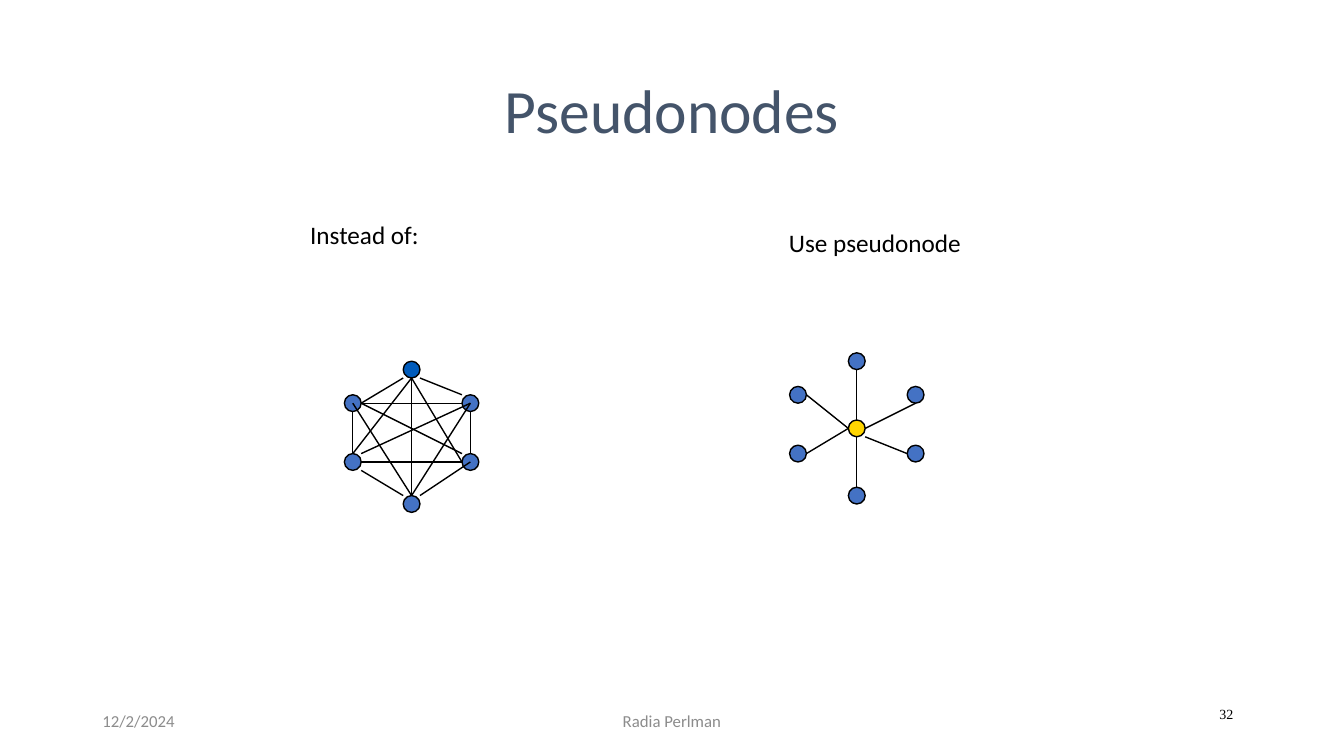
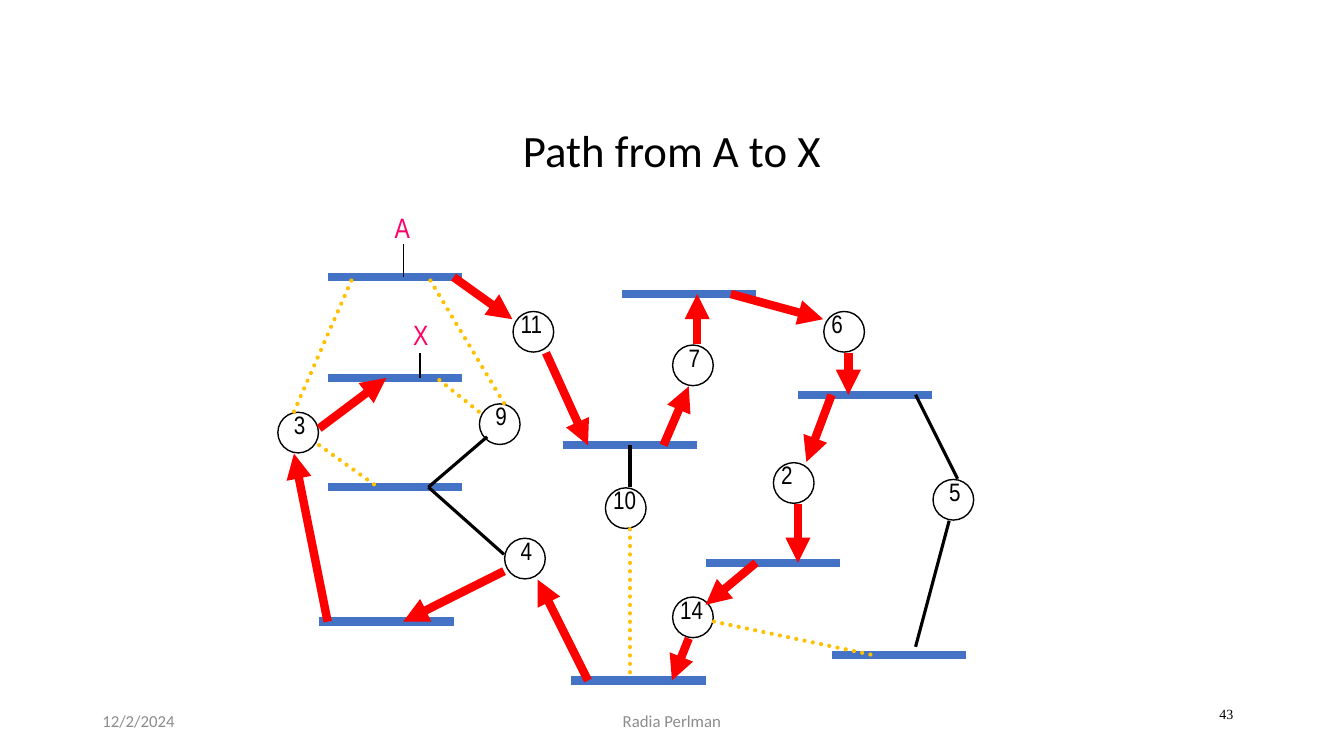
from lxml.etree import SubElement
from pptx import Presentation
from pptx.dml.color import RGBColor
from pptx.enum.dml import MSO_LINE
from pptx.enum.shapes import MSO_CONNECTOR, MSO_SHAPE
from pptx.enum.text import MSO_ANCHOR, MSO_AUTO_SIZE, PP_ALIGN
from pptx.oxml.ns import qn
from pptx.util import Cm, Pt

BLACK, BLUE, GOLD = "000000", "4472C4", "FFC000"
RED, PINK, GRAY = "FF0000", "FF0066", "8C8C8C"
SANS, SLIM, SERIF = "Calibri", "Arial Narrow", "Times New Roman"

# All places below are in twelfths of an inch.
RING = [(42, 48), (49, 44), (56, 48), (56, 55), (49, 60), (42, 55)]
SHIFT = (53, -1)
HUB = (102, 51)
MESH = [
    (48, 45, 43, 48), (42, 49, 42, 54), (48, 59, 43, 56),
    (56, 55, 50, 59), (56, 49, 56, 54), (55, 47, 50, 45),
    (49, 45, 42, 54), (49, 45, 49, 59), (49, 45, 55, 55),
    (55, 48, 43, 48), (55, 54, 43, 48), (49, 59, 42, 48),
    (56, 48, 43, 54), (56, 48, 49, 59), (55, 55, 43, 55),
]
SPOKES = [
    (102, 44, 102, 50), (101, 51, 96, 47), (101, 51, 96, 54),
    (102, 52, 102, 58), (103, 52, 108, 54), (109, 48, 103, 51),
]
HEADS = [("Instead of:", 35.75, 25.5), ("Use pseudonode", 92.75, 26.5)]

BAR = 16
LANS = [
    (39, 33), (39, 45), (39, 58), (74, 35), (95, 47),
    (67, 53), (38, 74), (84, 67), (68, 81), (99, 78),
]
NEAR, FAR = 1.7, 2.7
NODES = [
    ("11", 63.5, 39.5, FAR), ("4", 62.5, 66.5, NEAR),
    ("3", 35.5, 51.5, NEAR), ("7", 82.5, 43.5, NEAR),
    ("2", 94.5, 57.5, FAR), ("14", 82.5, 73.5, FAR),
    ("10", 74.5, 60.5, FAR), ("9", 59.5, 50.5, NEAR),
    ("5", 113.5, 59.5, NEAR), ("6", 100.5, 39.5, FAR),
]
IDLE = [
    (35, 49, 42, 33), (38, 53, 45, 58), (57, 49, 52, 45),
    (60, 48, 51, 33), (75, 63, 75, 81), (85, 74, 104, 78),
]
TREE = [
    (58, 52, 51, 58), (75, 58, 75, 53), (51, 58, 60, 66),
    (113, 62, 109, 77), (114, 57, 109, 47),
]
ROUTE = [
    (54, 33, 61, 38), (65, 42, 70, 53), (79, 53, 82, 46),
    (83, 41, 83, 35), (87, 35, 98, 38), (101, 42, 101, 47),
    (99, 47, 96, 55), (95, 60, 95, 67), (90, 67, 84, 72),
    (82, 76, 80, 81), (70, 81, 64, 69), (60, 68, 48, 74),
    (39, 74, 35, 54), (38, 51, 46, 45),
]
HOSTS = [("A", 45.8, 25.2), ("X", 48, 37.9)]
STEMS = [(48, 29, 48, 33), (50, 42, 50, 45)]


def unit(*values):
    return [Cm(value * 2.54 / 12) for value in values]


def tint(code):
    return RGBColor.from_string(code)


def write(frame, words, size=18, font=SANS, color=BLACK,
          align=PP_ALIGN.LEFT, anchor=MSO_ANCHOR.TOP, space=1.0):
    frame.text = words
    frame.word_wrap = True
    frame.auto_size = MSO_AUTO_SIZE.NONE
    frame.vertical_anchor = anchor
    para = frame.paragraphs[0]
    para.alignment = align
    para.line_spacing = space
    para.font.size = Pt(size)
    para.font.name = font
    para.font.color.rgb = tint(color)


def label(slide, words, box, **style):
    write(slide.shapes.add_textbox(*unit(*box)).text_frame, words, **style)


def disc(slide, x, y, radius, fill=None):
    box = unit(x - radius, y - radius, 2 * radius, 2 * radius)
    shape = slide.shapes.add_shape(MSO_SHAPE.OVAL, *box)
    shape.shadow.inherit = False
    if fill:
        shape.fill.solid()
        shape.fill.fore_color.rgb = tint(fill)
    else:
        shape.fill.background()
    shape.line.color.rgb = tint(BLACK)
    shape.line.width = Pt(1)


def link(slide, ends, color=BLACK, width=1, dots=False, arrow=False):
    wire = slide.shapes.add_connector(MSO_CONNECTOR.STRAIGHT, *unit(*ends))
    wire.line.color.rgb = tint(color)
    wire.line.width = Pt(width)
    props = wire._element.spPr
    line = props.find(qn("a:ln"))
    if dots:
        wire.line.dash_style = MSO_LINE.ROUND_DOT
        line.set("cap", "rnd")
    if arrow:
        SubElement(line, qn("a:tailEnd"), type="triangle")
    SubElement(props, qn("a:effectLst"))


def start(deck, title, top, number, **style):
    slide = deck.slides.add_slide(deck.slide_layouts[5])
    head = slide.shapes.title
    head.left, head.top, head.width, head.height = unit(29, top, 102, 17)
    write(head.text_frame, title, align=PP_ALIGN.CENTER, **style)
    foot = dict(size=12, color=GRAY, anchor=MSO_ANCHOR.MIDDLE)
    label(slide, "12/2/2024", (11, 83.4, 36, 4.8), **foot)
    label(slide, "Radia Perlman", (53, 83.4, 54, 4.8),
          align=PP_ALIGN.CENTER, **foot)
    label(slide, number, (113.3, 82, 34.7, 6), size=10, font=SERIF,
          align=PP_ALIGN.RIGHT, anchor=MSO_ANCHOR.MIDDLE)
    return slide


def pseudo(deck):
    slide = start(deck, "Pseudonodes", 8, "32", size=44, color="44546A")
    for words, x, y in HEADS:
        label(slide, words, (x, y, 29, 6))
    for spot, (x, y) in enumerate(RING):
        disc(slide, x, y, 1, "005BBB" if spot == 1 else BLUE)
        disc(slide, x + SHIFT[0], y + SHIFT[1], 1, BLUE)
    disc(slide, *HUB, 1, "FFD500")
    for ends in MESH + SPOKES:
        link(slide, ends)


def trace(deck):
    slide = start(deck, "Path from A to X", 14, "43", size=32)
    for x, y in LANS:
        link(slide, (x, y, x + BAR, y), BLUE, 6)
    for name, x, y, inset in NODES:
        disc(slide, x, y, 2.42)
    for ends in IDLE:
        link(slide, ends, GOLD, 3, dots=True)
    for ends in TREE:
        link(slide, ends, width=2.25)
    for ends in ROUTE:
        link(slide, ends, RED, 6, arrow=True)
    for ends in STEMS:
        link(slide, ends)
    for name, x, y, inset in NODES:
        label(slide, name, (x - inset, y - 2.75, 6.1, 5.2),
              font=SLIM, space=0.82)
    for name, x, y in HOSTS:
        label(slide, name, (x, y, 4.8, 4.6), size=20, font=SLIM,
              color=PINK, space=0.82)


def main():
    deck = Presentation()
    deck.slide_width, deck.slide_height = unit(160, 90)
    pseudo(deck)
    trace(deck)
    deck.save("out.pptx")


if __name__ == "__main__":
    main()
